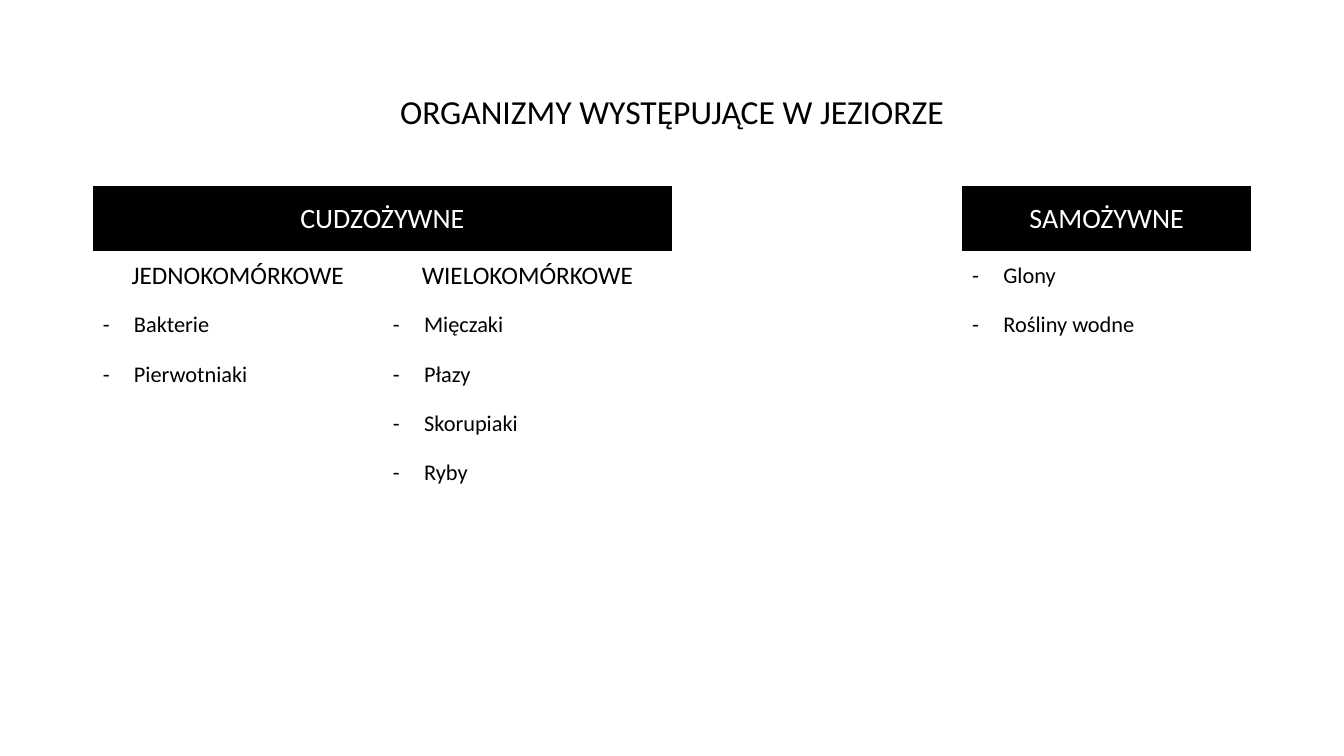
from dataclasses import dataclass

from lxml import etree
from pptx import Presentation
from pptx.dml.color import RGBColor
from pptx.enum.text import MSO_ANCHOR, PP_ALIGN
from pptx.oxml.ns import qn
from pptx.util import Pt

CENTER = PP_ALIGN.CENTER
LEFT = PP_ALIGN.LEFT
MIDDLE = MSO_ANCHOR.MIDDLE

EMU_PER_PX = 9144
FONT = "Calibri"
COLORS = {"ink": "000000", "header_text": "FFFFFF", "header_fill": "000000"}
PLAIN_TABLE_STYLE = "{2D5ABB26-0587-4C30-8999-92F81FD0307C}"
TITLE_ONLY = 5

SLIDE_SIZE = (1334, 750)
TITLE_BOX = (92, 40, 1150, 145)
TABLE_BOX = (92, 185, 1150, 309)
COLUMN_WIDTHS = (288, 287, 288, 287)
ROW_HEIGHTS = (64, 49, 49, 49, 49, 49)
BULLET_INDENT = 31


@dataclass(frozen=True)
class Column:
    """Entries run down one table column, starting at first_row."""
    index: int
    first_row: int
    entries: tuple[str, ...]


@dataclass(frozen=True)
class Heading:
    row: int
    column: int
    text: str
    size: int
    color: str


HEADINGS = (
    Heading(0, 0, "CUDZOŻYWNE", 20, "header_text"),
    Heading(0, 3, "SAMOŻYWNE", 20, "header_text"),
    Heading(1, 0, "JEDNOKOMÓRKOWE", 18, "ink"),
    Heading(1, 1, "WIELOKOMÓRKOWE", 18, "ink"),
)
ORGANISMS = (
    Column(0, 2, ("Bakterie", "Pierwotniaki")),
    Column(1, 2, ("Mięczaki", "Płazy", "Skorupiaki", "Ryby")),
    Column(3, 1, ("Glony", "Rośliny wodne")),
)


def px(length: int) -> int:
    return length * EMU_PER_PX


def write(text_frame, text: str, size: int, color: str, alignment):
    text_frame.text = text
    paragraph = text_frame.paragraphs[0]
    paragraph.alignment = alignment
    font = paragraph.runs[0].font
    font.name = FONT
    font.size = Pt(size)
    font.bold = False
    font.color.rgb = RGBColor.from_string(COLORS[color])
    return paragraph


def add_dash(paragraph) -> None:
    """Give the paragraph a hanging dash bullet."""
    properties = paragraph._p.get_or_add_pPr()
    properties.set("marL", str(px(BULLET_INDENT)))
    properties.set("indent", str(-px(BULLET_INDENT)))
    etree.SubElement(properties, qn("a:buFont"), typeface=FONT)
    etree.SubElement(properties, qn("a:buChar"), char="-")


def add_title(slide) -> None:
    title = slide.shapes.title
    title.left, title.top, title.width, title.height = map(px, TITLE_BOX)
    title.text_frame.vertical_anchor = MIDDLE
    paragraph = write(title.text_frame, "ORGANIZMY WYSTĘPUJĄCE W JEZIORZE",
                      24, "ink", CENTER)
    paragraph.line_spacing = 0.9


def add_plain_table(slide):
    frame = slide.shapes.add_table(
        len(ROW_HEIGHTS), len(COLUMN_WIDTHS), *map(px, TABLE_BOX))
    table = frame.table
    table.first_row = table.horz_banding = False
    next(frame._element.iter(qn("a:tableStyleId"))).text = PLAIN_TABLE_STYLE
    for column, width in zip(table.columns, COLUMN_WIDTHS):
        column.width = px(width)
    for row, height in zip(table.rows, ROW_HEIGHTS):
        row.height = px(height)
    for cell in table.iter_cells():
        cell.fill.background()
        cell.vertical_anchor = MIDDLE
    return table


def fill_table(table) -> None:
    table.cell(0, 0).merge(table.cell(0, 1))
    for heading in HEADINGS:
        cell = table.cell(heading.row, heading.column)
        write(cell.text_frame, heading.text, heading.size, heading.color, CENTER)
        if heading.row == 0:
            cell.fill.solid()
            cell.fill.fore_color.rgb = RGBColor.from_string(COLORS["header_fill"])
    for column in ORGANISMS:
        for row, entry in enumerate(column.entries, column.first_row):
            cell = table.cell(row, column.index)
            add_dash(write(cell.text_frame, entry, 16, "ink", LEFT))


def main() -> None:
    presentation = Presentation()
    presentation.slide_width, presentation.slide_height = map(px, SLIDE_SIZE)
    slide = presentation.slides.add_slide(presentation.slide_layouts[TITLE_ONLY])
    add_title(slide)
    fill_table(add_plain_table(slide))
    presentation.save("out.pptx")


if __name__ == "__main__":
    main()
